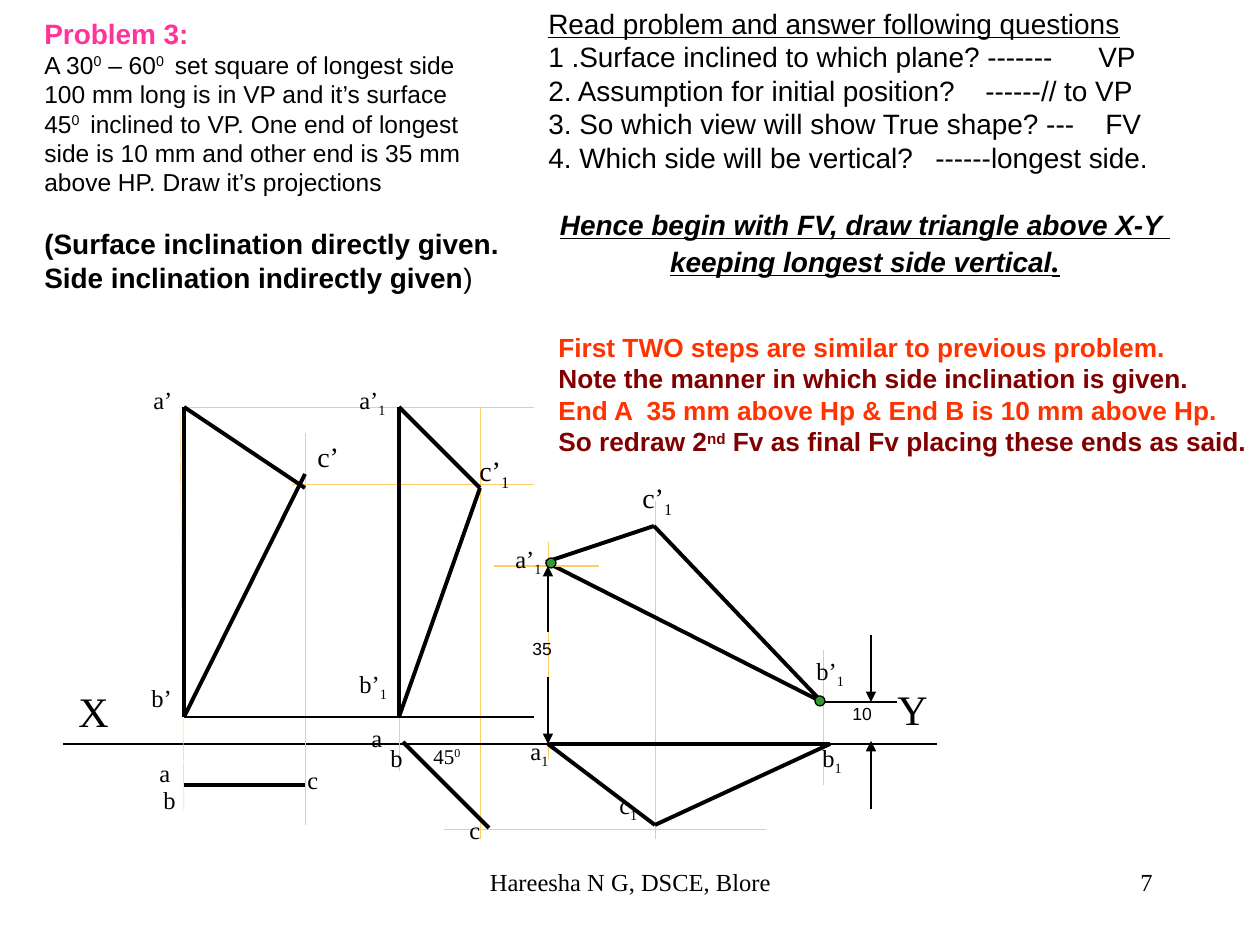
from dataclasses import dataclass
from typing import NamedTuple

from lxml import etree
from pptx import Presentation
from pptx.dml.color import RGBColor
from pptx.enum.shapes import MSO_CONNECTOR, MSO_SHAPE
from pptx.enum.text import MSO_AUTO_SIZE, PP_ALIGN
from pptx.oxml.ns import qn
from pptx.util import Emu, Pt

BLACK = RGBColor(0x00, 0x00, 0x00)
PINK = RGBColor(0xFF, 0x33, 0x99)
RED = RGBColor(0xFF, 0x33, 0x00)
MAROON = RGBColor(0x80, 0x00, 0x00)
GOLD = RGBColor(0xFF, 0xCC, 0x66)
GREEN = RGBColor(0x33, 0x99, 0x33)
LEFT, CENTER, RIGHT = PP_ALIGN.LEFT, PP_ALIGN.CENTER, PP_ALIGN.RIGHT
GROW, FIXED = MSO_AUTO_SIZE.SHAPE_TO_FIT_TEXT, MSO_AUTO_SIZE.NONE
STRAIGHT, OVAL = MSO_CONNECTOR.STRAIGHT, MSO_SHAPE.OVAL
SERIF, SANS = "Times New Roman", "Arial"
UP, DOWN = "30000", "-25000"


class Run(NamedTuple):
    text: str
    form: dict
    color: RGBColor = BLACK


class Para(NamedTuple):
    runs: list[Run]
    align: PP_ALIGN = LEFT
    gap: float = 0
    tab: int = 0


class Pen(NamedTuple):
    color: RGBColor
    width: float
    arrow: bool = False


class Track(NamedTuple):
    pen: Pen
    points: list[tuple[int, int]]


@dataclass
class Block:
    box: tuple[int, int, int, int]
    paras: list[Para]
    wrap: bool = True
    size: MSO_AUTO_SIZE = GROW
    shift: str = UP


def px(n: int) -> Emu:
    return Emu(round(n * 914400 / 126))


def font(size: float, name: str = SANS, **more) -> dict:
    return {"size": Pt(size), "name": name, **more}


def add_run(para, run: Run, shift: str) -> None:
    for i, part in enumerate(run.text.split("|")):
        if not part:
            continue
        piece = para.add_run()
        piece.text = part
        for key, value in run.form.items():
            setattr(piece.font, key, value)
        piece.font.color.rgb = run.color
        if i % 2:
            piece._r.get_or_add_rPr().set("baseline", shift)


def add_block(slide, block: Block) -> None:
    frame = slide.shapes.add_textbox(*map(px, block.box)).text_frame
    frame.word_wrap = block.wrap
    frame.auto_size = block.size
    for i, item in enumerate(block.paras):
        para = frame.add_paragraph() if i else frame.paragraphs[0]
        para.alignment = item.align
        para.space_before = Pt(item.gap)
        if item.tab:
            tabs = etree.SubElement(para._p.get_or_add_pPr(), qn("a:tabLst"))
            etree.SubElement(tabs, qn("a:tab"), pos=str(px(item.tab)), algn="l")
        for run in item.runs:
            add_run(para, run, block.shift)


def add_track(slide, track: Track) -> None:
    for start, end in zip(track.points, track.points[1:]):
        line = slide.shapes.add_connector(STRAIGHT, *map(px, start + end))
        line.line.color.rgb = track.pen.color
        line.line.width = Pt(track.pen.width)
        if track.pen.arrow:
            etree.SubElement(line.line._get_or_add_ln(), qn("a:tailEnd"), type="triangle")
        etree.SubElement(line._element.spPr, qn("a:effectLst"))


def add_dot(slide, x: int, y: int) -> None:
    dot = slide.shapes.add_shape(OVAL, px(x), px(y), px(10), px(10))
    dot.shadow.inherit = False
    dot.fill.solid()
    dot.fill.fore_color.rgb = GREEN
    dot.line.color.rgb = BLACK
    dot.line.width = Pt(0.75)


def label(text: str, x: int, y: int, w: int, h: int, form: dict, shift: str = DOWN) -> Block:
    return Block((x, y, w, h), [Para([Run(text, form)])], False, GROW, shift)


GUIDE, LEVEL = Pen(GOLD, 0.25), Pen(GOLD, 0.75)
THIN, BOLD, ARROW = Pen(BLACK, 0.75), Pen(BLACK, 2.25), Pen(BLACK, 0.75, True)

TRACKS = [
    Track(GUIDE, [(480, 407), (480, 839)]),
    Track(THIN, [(63, 744), (937, 744)]),
    Track(GUIDE, [(305, 433), (305, 825)]),
    Track(GUIDE, [(180, 407), (184, 811)]),
    Track(GUIDE, [(399, 771), (399, 407)]),
    Track(GUIDE, [(184, 407), (534, 407)]),
    Track(THIN, [(184, 717), (534, 717)]),
    Track(GUIDE, [(292, 484), (534, 484)]),
    Track(GUIDE, [(548, 542), (548, 759)]),
    Track(GUIDE, [(655, 501), (655, 839)]),
    Track(GUIDE, [(823, 650), (823, 785)]),
    Track(GUIDE, [(444, 829), (766, 829)]),
    Track(BOLD, [(184, 785), (305, 785)]),
    Track(BOLD, [(403, 742), (489, 828)]),
    Track(BOLD, [(399, 407), (399, 717), (480, 488), (399, 407)]),
    Track(BOLD, [(546, 562), (822, 702), (654, 526), (546, 562)]),
    Track(BOLD, [(548, 744), (655, 825), (830, 744), (548, 744)]),
    Track(BOLD, [(305, 474), (184, 717), (184, 407), (305, 488)]),
    Track(ARROW, [(548, 677), (548, 744)]),
    Track(ARROW, [(548, 632), (548, 566)]),
    Track(THIN, [(816, 702), (897, 702)]),
    Track(ARROW, [(871, 809), (871, 741)]),
    Track(ARROW, [(871, 635), (871, 702)]),
    Track(LEVEL, [(494, 566), (599, 566)]),
]

MARK, LARGE, AXIS, SMALL = font(14, SERIF), font(16, SERIF), font(24, SERIF), font(10)
LABELS = [
    label("X", 66, 679, 60, 63, AXIS), label("Y", 885, 677, 60, 63, AXIS),
    label("a’", 141, 379, 57, 43, MARK), label("b’", 139, 677, 57, 43, MARK),
    label("c’", 305, 433, 57, 47, LARGE), label("a’|1", 347, 379, 60, 47, MARK),
    label("b’|1", 347, 663, 60, 47, MARK), label("c’|1", 467, 447, 66, 52, LARGE),
    label("a’|1", 503, 538, 60, 47, MARK), label("b’|1", 804, 650, 60, 47, MARK),
    label("c’|1", 630, 474, 66, 52, LARGE), label("a", 147, 752, 40, 43, MARK),
    label("b", 151, 779, 42, 43, MARK), label("c", 295, 759, 40, 43, MARK),
    label("a", 359, 717, 40, 43, MARK), label("b", 378, 737, 42, 43, MARK),
    label("c", 457, 809, 40, 43, MARK), label("a|1", 518, 730, 50, 47, MARK),
    label("b|1", 810, 737, 58, 47, MARK), label("c|1", 607, 784, 50, 47, MARK),
    label("45|0", 421, 737, 72, 38, font(12, SERIF), UP),
    label("35", 520, 632, 67, 34, SMALL), label("10", 840, 697, 56, 34, SMALL),
]

BODY, ASK = font(14), font(16)
HEAD, NOTE = font(16, bold=True), font(15, bold=True)
HENCE = font(16, bold=True, italic=True, underline=True)
STOP = {**HENCE, **font(18, SERIF)}
TASK = ["A 30|0| – 60|0 | set square of longest side",
        "100 mm long is in VP and it’s surface",
        "45|0 | inclined to VP. One end of longest",
        "side is 10 mm and other end is 35 mm",
        "above HP. Draw it’s projections"]
ASKS = [("1 .Surface inclined to which plane? -------\tVP", 550),
        ("2. Assumption for initial position?\t------// to VP", 437),
        ("3. So which view will show True shape? ---\tFV", 557),
        ("4. Which side will be vertical?\t------longest side.", 387)]
NOTES = [("First TWO steps are similar to previous problem.", RED),
         ("Note the manner in which side inclination is given.", MAROON),
         ("End A  35 mm above Hp & End B is 10 mm above Hp.", RED),
         ("So redraw 2|nd| Fv as final Fv placing these ends as said.", MAROON)]

BLOCKS = [
    Block((32, 10, 504, 290),
          [Para([Run("Problem 3:", HEAD, PINK)])]
          + [Para([Run(text, BODY)]) for text in TASK]
          + [Para([Run("(Surface inclination directly given.", HEAD)], gap=17),
             Para([Run("Side inclination indirectly given", HEAD), Run(")", ASK)])]),
    Block((536, 0, 658, 286),
          [Para([Run("Read problem and answer following questions", font(16, underline=True))])]
          + [Para([Run(text, ASK)], tab=tab) for text, tab in ASKS]
          + [Para([Run("Hence begin with FV, draw triangle above X-Y ", HENCE)], CENTER, 19),
             Para([Run("keeping longest side vertical", HENCE), Run(".", STOP)], CENTER)]),
    Block((546, 325, 713, 139),
          [Para([Run(text, NOTE, color)]) for text, color in NOTES], wrap=False),
    Block((903, 861, 262, 63), [Para([Run("7", MARK)], RIGHT)], size=FIXED),
    Block((431, 861, 399, 63), [Para([Run("Hareesha N G, DSCE, Blore", MARK)], CENTER)], size=FIXED),
]


def main() -> None:
    deck = Presentation()
    deck.slide_width, deck.slide_height = px(1260), px(945)
    slide = deck.slides.add_slide(deck.slide_layouts[6])
    for track in TRACKS:
        add_track(slide, track)
    for block in LABELS + BLOCKS:
        add_block(slide, block)
    for x, y in [(546, 558), (815, 696)]:
        add_dot(slide, x, y)
    deck.save("out.pptx")


if __name__ == "__main__":
    main()
